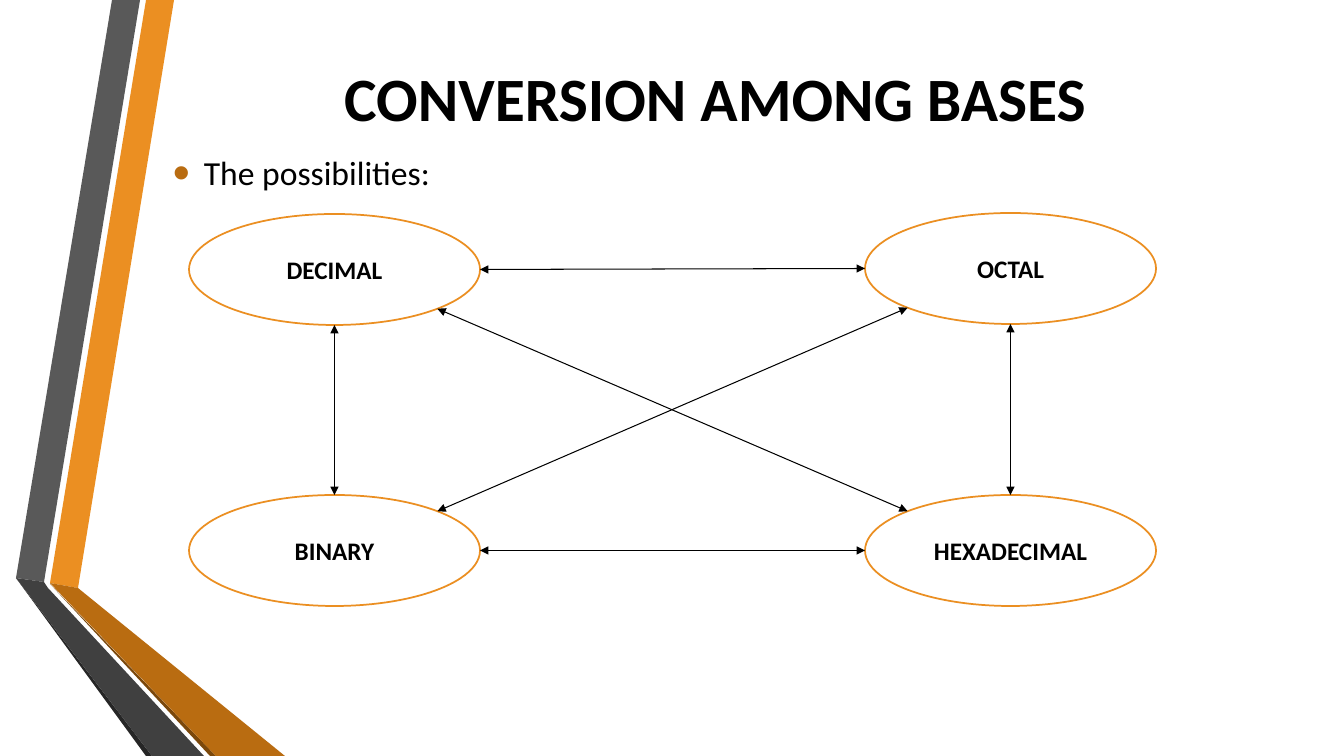
from math import sqrt

from lxml.etree import SubElement
from pptx import Presentation
from pptx.dml.color import RGBColor
from pptx.enum.shapes import MSO_CONNECTOR as Connector, MSO_SHAPE as Shape
from pptx.enum.text import MSO_ANCHOR as Anchor, PP_ALIGN as Align
from pptx.oxml.ns import qn
from pptx.util import Pt

BLACK = RGBColor(0x00, 0x00, 0x00)
WHITE = RGBColor(0xFF, 0xFF, 0xFF)
ORANGE = RGBColor(0xEB, 0x8F, 0x22)
BROWN = RGBColor(0xB9, 0x6C, 0x11)
DARK_BROWN = RGBColor(0x7B, 0x48, 0x0B)
GRAY = RGBColor(0x59, 0x59, 0x59)
DARK_GRAY = RGBColor(0x40, 0x40, 0x40)
CHARCOAL = RGBColor(0x26, 0x26, 0x26)

SCALE = 914400 / 100.8
TITLE = "CONVERSION AMONG BASES"
INTRO = "The possibilities:"
TITLE_BOX = (163, 0, 1105, 194)
INTRO_BOX = (163, 0, 1105, 345)
BASE_SIZE = (291, 111)
BASES = {
    "DECIMAL": (189, 214),
    "OCTAL": (865, 213),
    "BINARY": (189, 495),
    "HEXADECIMAL": (865, 495),
}
DIAGONAL = sqrt(0.5)
SITES = {
    "top": (0, -1),
    "bottom": (0, 1),
    "left": (-1, 0),
    "right": (1, 0),
    "top left": (-DIAGONAL, -DIAGONAL),
    "top right": (DIAGONAL, -DIAGONAL),
    "bottom left": (-DIAGONAL, DIAGONAL),
    "bottom right": (DIAGONAL, DIAGONAL),
}
CONVERSIONS = [
    ("DECIMAL", "bottom", "BINARY", "top"),
    ("DECIMAL", "right", "OCTAL", "left"),
    ("BINARY", "right", "HEXADECIMAL", "left"),
    ("OCTAL", "bottom", "HEXADECIMAL", "top"),
    ("DECIMAL", "bottom right", "HEXADECIMAL", "top left"),
    ("BINARY", "top right", "OCTAL", "bottom left"),
]
RIBBONS = [
    (ORANGE, [(50, 583), (78, 588), (174, 0), (146, 0)]),
    (GRAY, [(140, 0), (112, 0), (16, 578), (44, 582)]),
    (CHARCOAL, [(16, 578), (146, 756), (152, 756)]),
    (DARK_BROWN, [(50, 584), (210, 756), (216, 756)]),
    (BROWN, [(50, 583), (216, 756), (285, 756), (78, 588)]),
    (DARK_GRAY, [(204, 756), (48, 588), (44, 582), (16, 578), (152, 756)]),
]


def emu(*pixels):
    return [round(pixel * SCALE) for pixel in pixels]


def set_all(target, values):
    for name, value in values.items():
        setattr(target, name, value)


def write(shape, text, size, bold, align):
    frame = shape.text_frame
    set_all(frame, {"text": text, "word_wrap": True, "vertical_anchor": Anchor.MIDDLE})
    paragraph = frame.paragraphs[0]
    paragraph.alignment = align
    font = paragraph.runs[0].font
    set_all(font, {"name": "Calibri", "size": Pt(size), "bold": bold})
    font.color.rgb = BLACK
    return paragraph


def add_bullet(paragraph, color):
    properties = paragraph._p.get_or_add_pPr()
    indent = emu(31)[0]
    properties.set("marL", str(indent))
    properties.set("indent", str(-indent))
    bullet_color = SubElement(properties, qn("a:buClr"))
    SubElement(bullet_color, qn("a:srgbClr"), val=str(color))
    SubElement(properties, qn("a:buSzPct"), val="145000")
    SubElement(properties, qn("a:buFont"), typeface="Arial")
    SubElement(properties, qn("a:buChar"), char="•")


def paint(shape, color):
    shape.shadow.inherit = False
    shape.fill.solid()
    shape.fill.fore_color.rgb = color


def site_point(base, site):
    return [
        start + length / 2 * (1 + direction)
        for start, length, direction in zip(BASES[base], BASE_SIZE, SITES[site])
    ]


presentation = Presentation()
width, height = emu(1344, 756)
set_all(presentation, {"slide_width": width, "slide_height": height})
slide = presentation.slides.add_slide(presentation.slide_layouts[5])
shapes = slide.shapes

for color, points in RIBBONS:
    builder = shapes.build_freeform(*points[0], scale=SCALE)
    builder.add_line_segments(points[1:], close=True)
    ribbon = builder.convert_to_shape()
    paint(ribbon, color)
    ribbon.line.fill.background()

title = shapes.title
set_all(title, dict(zip(("left", "top", "width", "height"), emu(*TITLE_BOX))))
write(title, TITLE, 44, True, Align.CENTER)

intro = shapes.add_textbox(*emu(*INTRO_BOX))
add_bullet(write(intro, INTRO, 24, False, Align.LEFT), BROWN)

for base, position in BASES.items():
    ellipse = shapes.add_shape(Shape.OVAL, *emu(*position, *BASE_SIZE))
    paint(ellipse, WHITE)
    ellipse.line.color.rgb = ORANGE
    ellipse.line.width = Pt(1.25)
    write(ellipse, base, 18, True, Align.CENTER)

for start, start_site, end, end_site in CONVERSIONS:
    ends = site_point(start, start_site) + site_point(end, end_site)
    arrow = shapes.add_connector(Connector.STRAIGHT, *emu(*ends))
    arrow.line.color.rgb = BLACK
    arrow.line.width = Pt(0.75)
    for tag in ("a:headEnd", "a:tailEnd"):
        SubElement(arrow.line._get_or_add_ln(), qn(tag), type="triangle")
    SubElement(arrow._element.spPr, qn("a:effectLst"))

presentation.save("out.pptx")
